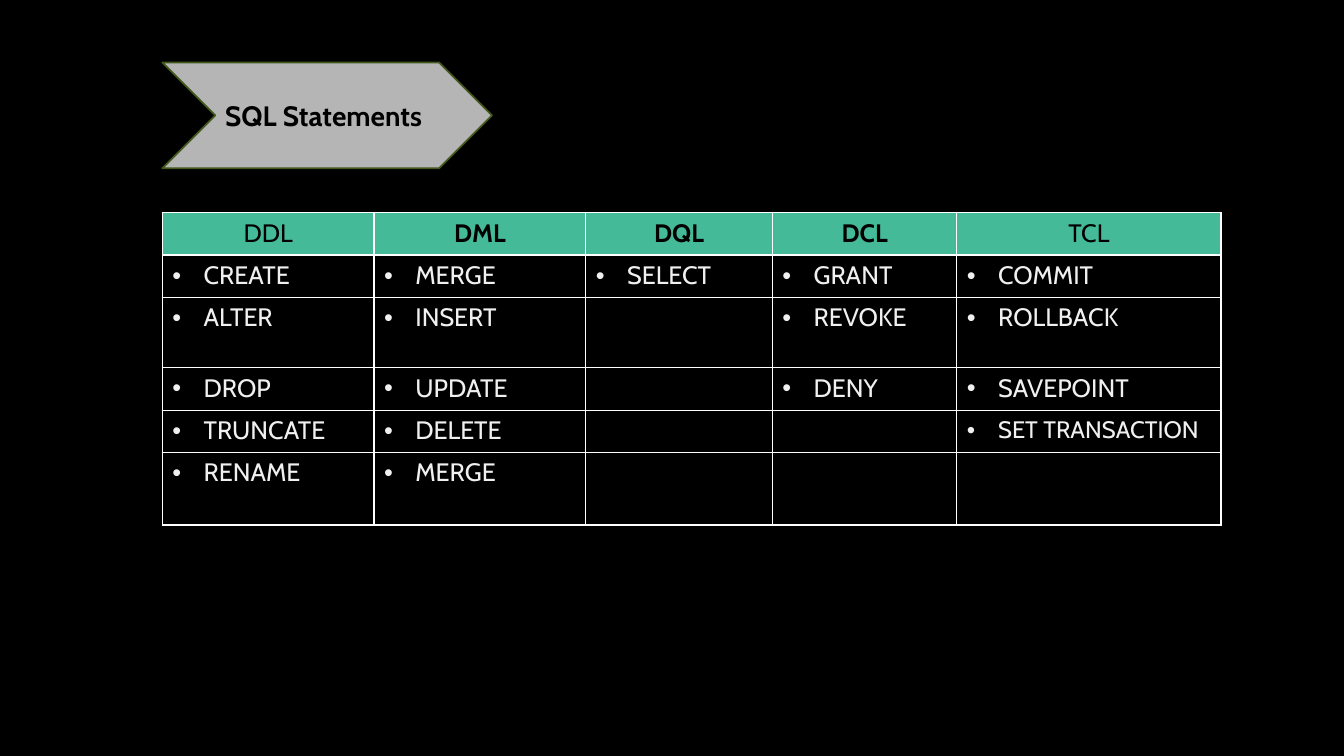
import pptx
import pptx.util
import pptx.dml.color
import pptx.enum.shapes
import pptx.enum.text
import pptx.oxml.ns
from lxml import etree

Inches = pptx.util.Inches
Pt = pptx.util.Pt
RGB = pptx.dml.color.RGBColor.from_string
ALIGN = pptx.enum.text.PP_ALIGN
COLORS = {
    "black": "000000",
    "white": "FFFFFF",
    "green": "44BA98",
    "text": "F0F0F0",
    "grey": "B5B5B5",
    "olive": "43561B",
}


def write(tf, text, size=18, color="text", bold=False, align=ALIGN.LEFT, bullet=False):
    p = tf.paragraphs[0]
    p.alignment = align
    if bullet:
        pPr = p._p.get_or_add_pPr()
        pPr.set("marL", str(Inches(0.31)))
        pPr.set("indent", str(-Inches(0.31)))
        etree.SubElement(pPr, pptx.oxml.ns.qn("a:buFont")).set("typeface", "Arial")
        etree.SubElement(pPr, pptx.oxml.ns.qn("a:buChar")).set("char", "•")
    r = p.add_run()
    r.text = text
    r.font.name = "Cabin"
    r.font.size = Pt(size)
    r.font.bold = bold
    r.font.color.rgb = RGB(COLORS[color])


def add_borders(cell, color="white", width=1):
    tcPr = cell._tc.get_or_add_tcPr()
    for side in ("lnL", "lnR", "lnT", "lnB"):
        ln = etree.SubElement(tcPr, pptx.oxml.ns.qn("a:" + side), w=str(Pt(width)))
        fill = etree.SubElement(ln, pptx.oxml.ns.qn("a:solidFill"))
        etree.SubElement(fill, pptx.oxml.ns.qn("a:srgbClr"), val=COLORS[color])


prs = pptx.Presentation()
prs.slide_width = Inches(13.33)
prs.slide_height = Inches(7.5)
s = prs.slides.add_slide(prs.slide_layouts[6])
s.background.fill.solid()
s.background.fill.fore_color.rgb = RGB(COLORS["black"])

# Statement table: one column per language group
statements = {
    "DDL": ["CREATE", "ALTER", "DROP", "TRUNCATE", "RENAME"],
    "DML": ["MERGE", "INSERT", "UPDATE", "DELETE", "MERGE"],
    "DQL": ["SELECT"],
    "DCL": ["GRANT", "REVOKE", "DENY"],
    "TCL": ["COMMIT", "ROLLBACK", "SAVEPOINT", "SET TRANSACTION"],
}
bold_headers = ("DML", "DQL", "DCL")
col_widths = [2.1, 2.1, 1.85, 1.83, 2.62]
row_heights = [0.42, 0.42, 0.7, 0.42, 0.42, 0.72]

table = s.shapes.add_table(
    len(row_heights), len(col_widths), Inches(1.61), Inches(2.11),
    Inches(sum(col_widths)), Inches(sum(row_heights))).table
for column, width in zip(table.columns, col_widths):
    column.width = Inches(width)
for row, height in zip(table.rows, row_heights):
    row.height = Inches(height)
for cell in table.iter_cells():
    add_borders(cell)
    cell.fill.background()

for col, (group, names) in enumerate(statements.items()):
    header = table.cell(0, col)
    header.fill.solid()
    header.fill.fore_color.rgb = RGB(COLORS["green"])
    write(header.text_frame, group, color="black", bold=group in bold_headers,
          align=ALIGN.CENTER)
    for row, name in enumerate(names, start=1):
        size = 17 if name == "SET TRANSACTION" else 18
        write(table.cell(row, col).text_frame, name, size=size, bullet=True)

# Title chevron
title = s.shapes.add_shape(
    pptx.enum.shapes.MSO_SHAPE.CHEVRON,
    Inches(1.61), Inches(0.62), Inches(3.27), Inches(1.05))
title.shadow.inherit = False
title.fill.solid()
title.fill.fore_color.rgb = RGB(COLORS["grey"])
title.line.color.rgb = RGB(COLORS["olive"])
title.line.width = Pt(1.25)
tf = title.text_frame
tf.word_wrap = True
tf.vertical_anchor = pptx.enum.text.MSO_ANCHOR.MIDDLE
write(tf, "SQL Statements", size=20, color="black", bold=True)

prs.save("out.pptx")
